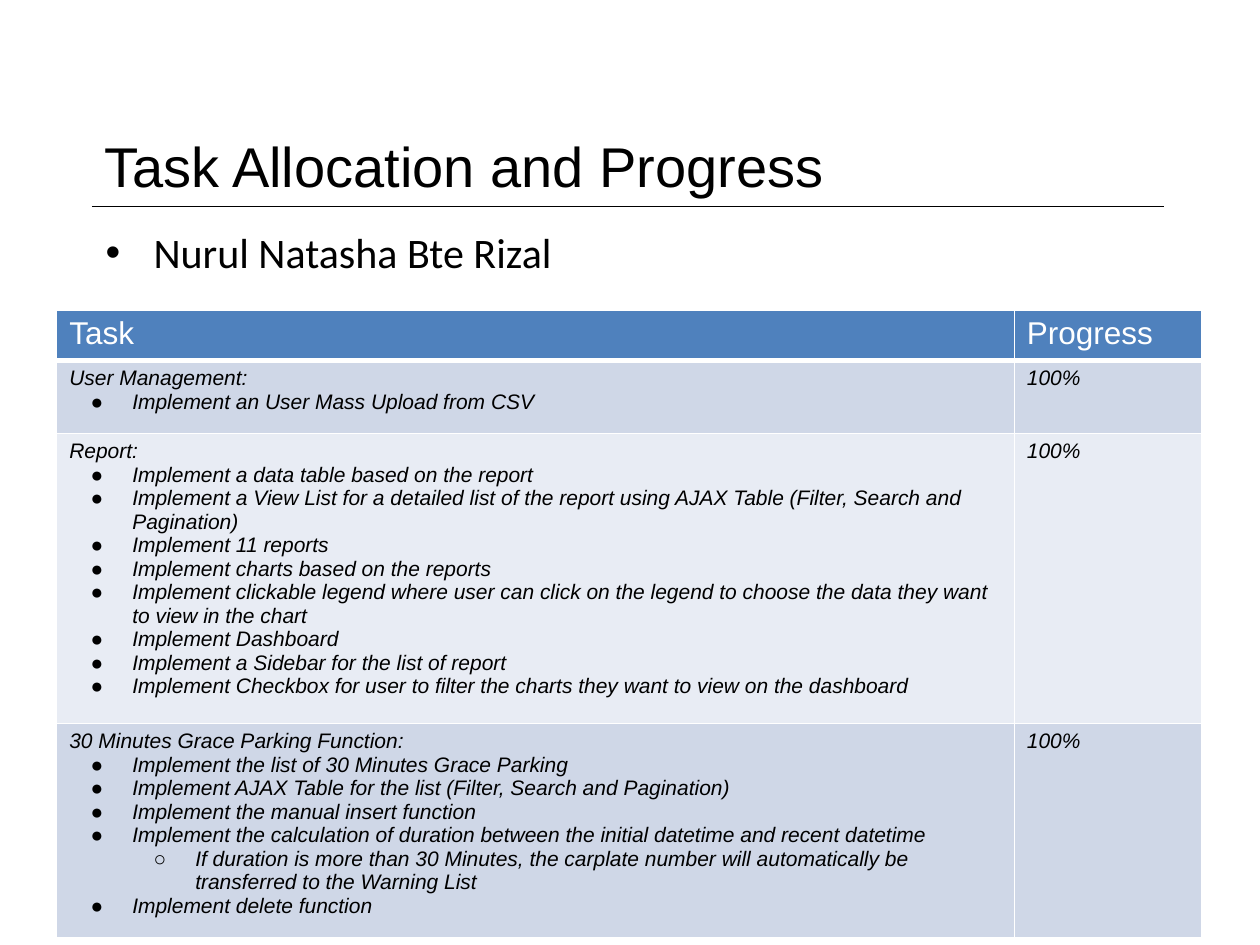
from dataclasses import dataclass

from lxml import etree
from pptx import Presentation
from pptx.dml.color import RGBColor
from pptx.enum.shapes import MSO_CONNECTOR
from pptx.enum.text import MSO_ANCHOR, MSO_AUTO_SIZE, PP_ALIGN
from pptx.oxml.ns import qn
from pptx.util import Inches, Pt

BLACK = RGBColor(0x00, 0x00, 0x00)
WHITE = RGBColor(0xFF, 0xFF, 0xFF)
HEADER_BLUE = RGBColor(0x4F, 0x81, 0xBD)
BANDS = (RGBColor(0xCF, 0xD7, 0xE7), RGBColor(0xE8, 0xEC, 0xF4))

LEFT, MIDDLE = PP_ALIGN.LEFT, MSO_ANCHOR.MIDDLE
STRAIGHT, NO_AUTOFIT = MSO_CONNECTOR.STRAIGHT, MSO_AUTO_SIZE.NONE

SLIDE_WIDTH, SLIDE_HEIGHT = Inches(10), Inches(7.5)
TITLE_ONLY = 5

TITLE_FONT = {"name": "Arial", "size": Pt(32), "bold": False}
NAME_FONT = {"name": "Calibri", "size": Pt(24)}
HEADER_FONT = {"name": "Arial", "size": Pt(18), "bold": False}
CELL_FONT = {"name": "Arial", "size": Pt(12), "bold": False, "italic": True}


@dataclass(frozen=True)
class Bullet:
    symbol: str
    margin: float
    hanging: float
    level: int = 0


@dataclass(frozen=True)
class Line:
    text: str
    bullet: Bullet | None = None


@dataclass(frozen=True)
class Task:
    lines: tuple[Line, ...]
    progress: str
    height: float


NAME_BULLET = Bullet("•", 0.38, 0.38)
ITEM = Bullet("●", 0.5, 0.33)
SUBITEM = Bullet("○", 1, 0.33, level=1)


def items(*texts: str) -> tuple[Line, ...]:
    return tuple(Line(text, ITEM) for text in texts)


HEADERS = ("Task", "Progress")
HEADER_HEIGHT = 5.33
COLUMN_WIDTHS = (76, 14.9)
TASKS = (
    Task(
        (Line("User Management:"), *items("Implement an User Mass Upload from CSV")),
        "100%", 7.73,
    ),
    Task(
        (
            Line("Report:"),
            *items(
                "Implement a data table based on the report",
                "Implement a View List for a detailed list of the report using "
                "AJAX Table (Filter, Search and Pagination)",
                "Implement 11 reports",
                "Implement charts based on the reports",
                "Implement clickable legend where user can click on the legend "
                "to choose the data they want to view in the chart",
                "Implement Dashboard",
                "Implement a Sidebar for the list of report",
                "Implement Checkbox for user to filter the charts they want to "
                "view on the dashboard",
            ),
        ),
        "100%", 30,
    ),
    Task(
        (
            Line("30 Minutes Grace Parking Function:"),
            *items(
                "Implement the list of 30 Minutes Grace Parking",
                "Implement AJAX Table for the list (Filter, Search and Pagination)",
                "Implement the manual insert function",
                "Implement the calculation of duration between the initial "
                "datetime and recent datetime",
            ),
            Line(
                "If duration is more than 30 Minutes, the carplate number will "
                "automatically be transferred to the Warning List",
                SUBITEM,
            ),
            *items("Implement delete function"),
        ),
        "100%", 20,
    ),
)


def across(percent: float) -> int:
    return int(SLIDE_WIDTH * percent / 100)


def down(percent: float) -> int:
    return int(SLIDE_HEIGHT * percent / 100)


def add_bullet(para, bullet: Bullet) -> None:
    para.level = bullet.level
    properties = para._p.get_or_add_pPr()
    properties.set("marL", str(Inches(bullet.margin)))
    properties.set("indent", str(-Inches(bullet.hanging)))
    color = etree.SubElement(properties, qn("a:buClr"))
    etree.SubElement(color, qn("a:srgbClr"), val=str(BLACK))
    etree.SubElement(properties, qn("a:buFont"), typeface="Arial")
    etree.SubElement(properties, qn("a:buChar"), char=bullet.symbol)


def write_lines(frame, lines: tuple[Line, ...], font: dict, color: RGBColor) -> None:
    frame.word_wrap = True
    for index, line in enumerate(lines):
        para = frame.add_paragraph() if index else frame.paragraphs[0]
        para.alignment = LEFT
        if line.bullet:
            add_bullet(para, line.bullet)
        span = para.add_run()
        span.text = line.text
        span.font.color.rgb = color
        for name, value in font.items():
            setattr(span.font, name, value)


def add_borders(cell, bottom: float = 1) -> None:
    properties = cell._tc.get_or_add_tcPr()
    for side, width in {"L": 1, "R": 1, "T": 1, "B": bottom}.items():
        border = etree.SubElement(properties, qn(f"a:ln{side}"), w=str(Pt(width)))
        fill = etree.SubElement(border, qn("a:solidFill"))
        etree.SubElement(fill, qn("a:srgbClr"), val=str(WHITE))


def paint_cell(cell, fill: RGBColor, bottom: float = 1) -> None:
    add_borders(cell, bottom)
    cell.fill.solid()
    cell.fill.fore_color.rgb = fill


def add_title(slide) -> None:
    title = slide.shapes.title
    title.left, title.top = across(7.3), down(13.07)
    title.width, title.height = across(85.1), down(8.8)
    title.text_frame.auto_size = NO_AUTOFIT
    title.text_frame.vertical_anchor = MIDDLE
    write_lines(title.text_frame, (Line("Task Allocation and Progress"),), TITLE_FONT, BLACK)

    rule = slide.shapes.add_connector(
        STRAIGHT, across(7.3), down(21.87), across(92.4), down(21.87)
    )
    rule.line.color.rgb = BLACK
    rule.line.width = Pt(0.75)
    etree.SubElement(rule._element.spPr, qn("a:effectLst"))


def add_name(slide) -> None:
    box = slide.shapes.add_textbox(across(7.4), down(23.33), across(85.1), down(7.87))
    write_lines(box.text_frame, (Line("Nurul Natasha Bte Rizal", NAME_BULLET),), NAME_FONT, BLACK)


def add_task_table(slide) -> None:
    heights = (HEADER_HEIGHT, *(task.height for task in TASKS))
    table = slide.shapes.add_table(
        len(heights), len(HEADERS), across(4.5), down(32.8),
        across(sum(COLUMN_WIDTHS)), down(sum(heights)),
    ).table
    table.first_row = table.horz_banding = False
    for column, width in zip(table.columns, COLUMN_WIDTHS):
        column.width = across(width)
    for row, height in zip(table.rows, heights):
        row.height = down(height)

    for cell, header in zip(table.rows[0].cells, HEADERS):
        paint_cell(cell, HEADER_BLUE, bottom=3)
        write_lines(cell.text_frame, (Line(header),), HEADER_FONT, WHITE)
    for index, task in enumerate(TASKS):
        contents = (task.lines, (Line(task.progress),))
        for cell, lines in zip(table.rows[index + 1].cells, contents):
            paint_cell(cell, BANDS[index % len(BANDS)])
            write_lines(cell.text_frame, lines, CELL_FONT, BLACK)


def main() -> None:
    deck = Presentation()
    deck.slide_width, deck.slide_height = SLIDE_WIDTH, SLIDE_HEIGHT
    slide = deck.slides.add_slide(deck.slide_layouts[TITLE_ONLY])
    add_title(slide)
    add_name(slide)
    add_task_table(slide)
    deck.save("out.pptx")


if __name__ == "__main__":
    main()
